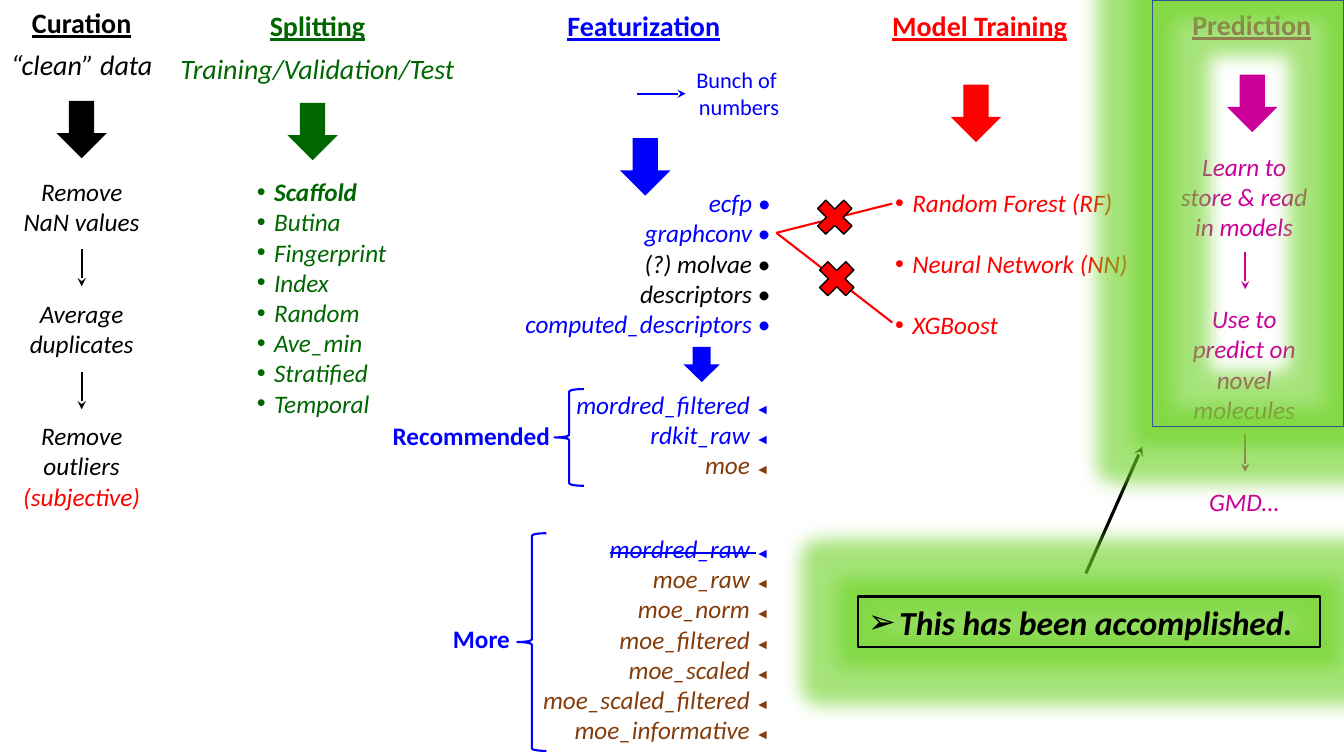
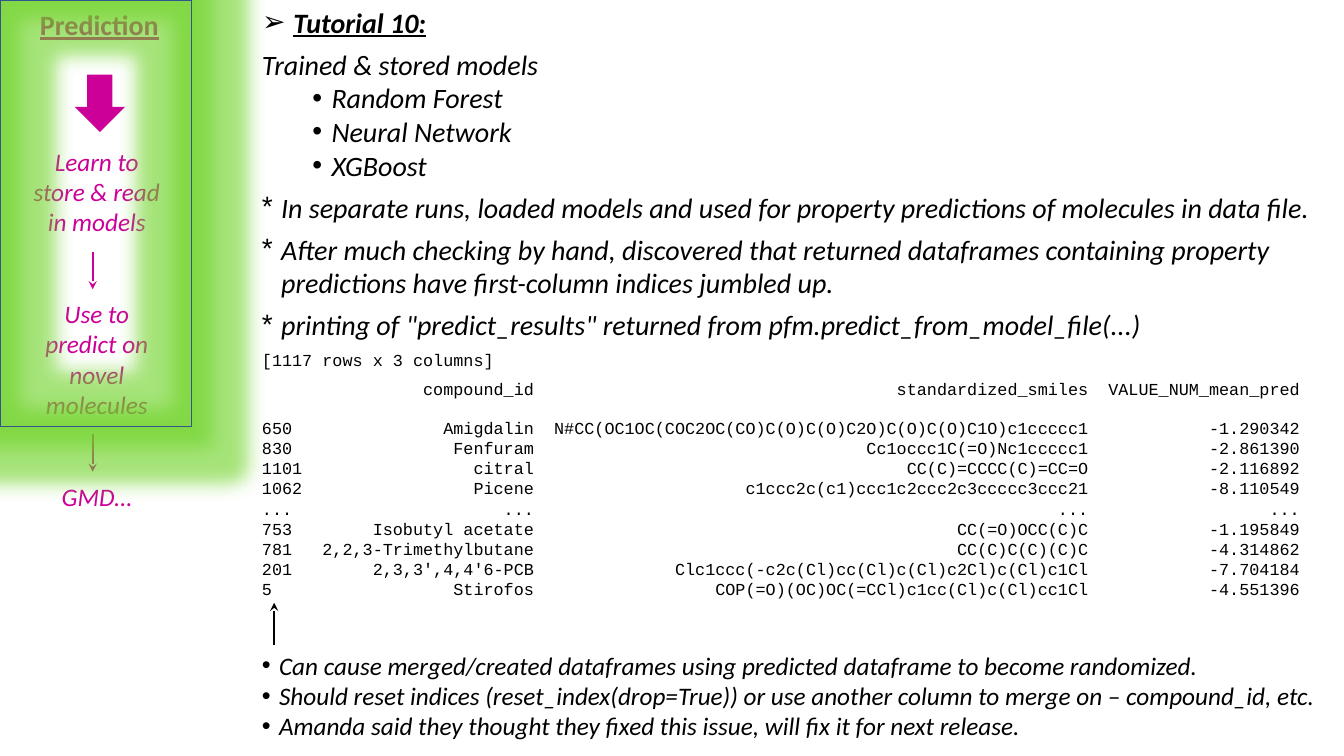
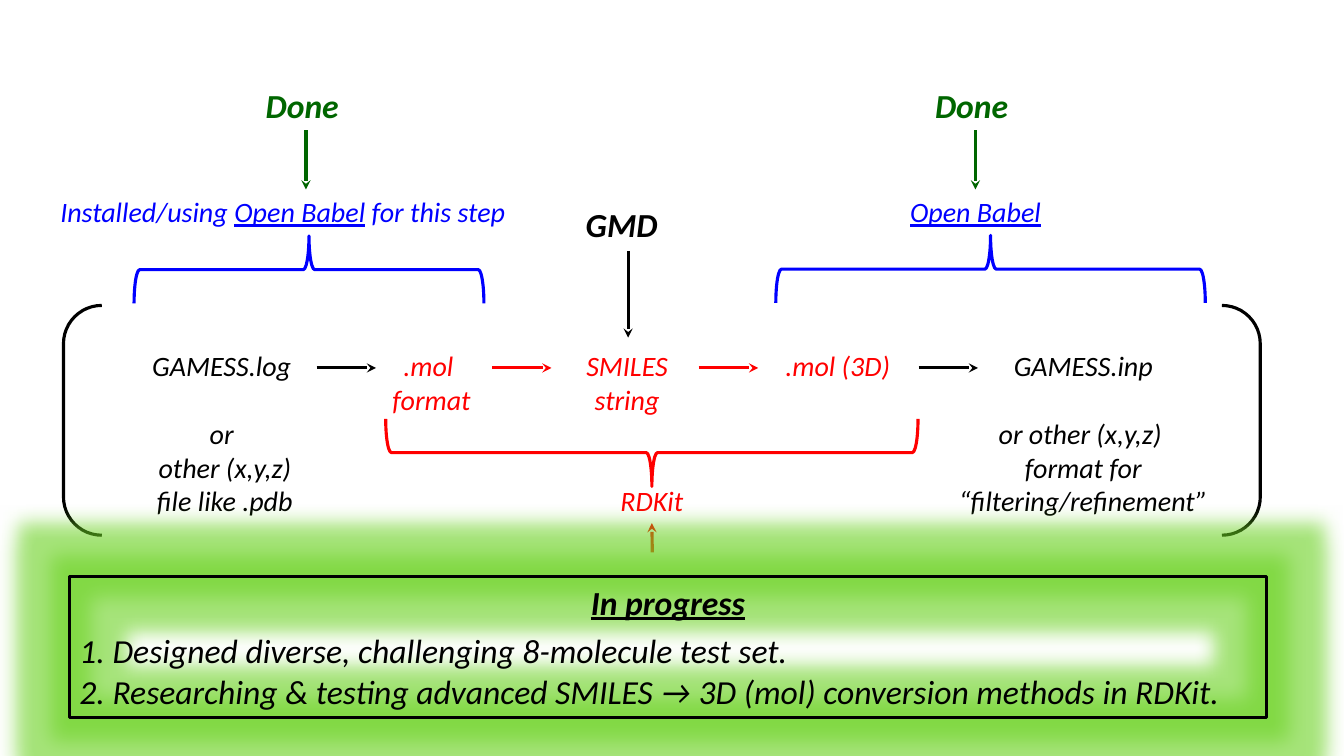
"""Build three slides on a molecular modelling workflow."""
from dataclasses import dataclass

from lxml import etree
from pptx import Presentation
from pptx.dml.color import RGBColor
from pptx.enum import shapes, text
from pptx.oxml.ns import qn
from pptx.util import Inches, Pt

BLACK = RGBColor(0, 0, 0)
GREEN = RGBColor(0, 0x66, 0)
BLUE = RGBColor(0, 0, 0xFF)
RED = RGBColor(0xFF, 0, 0)
MAGENTA = RGBColor(0xCC, 0, 0x99)
BROWN = RGBColor(0x84, 0x3C, 0x0B)
NAVY = RGBColor(0x32, 0x54, 0x91)
GLOW = RGBColor(0x6B, 0xD2, 0x22)

SHAPE = shapes.MSO_SHAPE
LEFT, CENTER, RIGHT = text.PP_ALIGN.LEFT, text.PP_ALIGN.CENTER, text.PP_ALIGN.RIGHT
BIG_ARROW = (0.5, 0.57)
LINE_GAP = 22
ARROW_GAP = 44

Box = tuple[float, float, float, float]
Point = tuple[float, float]


@dataclass
class Span:
    """A run of text with one look."""
    words: str
    color: RGBColor = BLACK
    size: float = 18
    bold: bool = False
    italic: bool = True
    underline: bool = False
    strike: bool = False
    font: str = "Calibri"


@dataclass
class Para:
    """A paragraph with its spacing and bullet."""
    spans: list[Span]
    align: int = LEFT
    before: float = 0
    bullet: str = ""
    hang: float = 0.17
    margin: float = 0


def line(words: str, align: int = LEFT, before: float = 0, bullet: str = "",
         hang: float = 0.17, margin: float = 0, **look) -> Para:
    """Make a paragraph of one run."""
    return Para([Span(words, **look)], align, before, bullet, hang, margin)


def write(frame, paras: list[Para]) -> None:
    """Fill a text frame with paragraphs."""
    for number, item in enumerate(paras):
        para = frame.add_paragraph() if number else frame.paragraphs[0]
        if item.bullet:
            props = para._p.get_or_add_pPr()
            props.set("marL", str(Inches(item.margin + item.hang)))
            props.set("indent", str(-Inches(item.hang)))
            etree.SubElement(props, qn("a:buFont")).set("typeface", "Arial")
            etree.SubElement(props, qn("a:buChar")).set("char", item.bullet)
        para.alignment = item.align
        para.space_before = Pt(item.before)
        for span in item.spans:
            run = para.add_run()
            run.text = span.words
            font = run.font
            font.name, font.size = span.font, Pt(span.size)
            font.bold, font.italic, font.underline = span.bold, span.italic, span.underline
            font.color.rgb = span.color
            if span.strike:
                font._element.set("strike", "sngStrike")


def text_box(page, at: Box, paras: list[Para], wrap: bool = True):
    """Add a text box."""
    box = page.shapes.add_textbox(*map(Inches, at))
    box.text_frame.word_wrap = wrap
    write(box.text_frame, paras)
    return box


def draw(page, kind: int, at: Box, fill: RGBColor | None = None,
         outline: RGBColor | None = None, width: float = 1, turn: float = 0):
    """Add a preset shape without shadow."""
    shape = page.shapes.add_shape(kind, *map(Inches, at))
    shape.shadow.inherit = False
    shape.rotation = turn
    if fill is None:
        shape.fill.background()
    else:
        shape.fill.solid()
        shape.fill.fore_color.rgb = fill
    if outline is None:
        shape.line.fill.background()
    else:
        shape.line.color.rgb = outline
        shape.line.width = Pt(width)
    return shape


def glowing_frame(page, at: Box, color: RGBColor, width: float, paras: list[Para]) -> None:
    """Add an unfilled rectangle with a green glow."""
    frame = draw(page, SHAPE.RECTANGLE, at, outline=color, width=width)
    effects = frame._element.spPr.find(qn("a:effectLst"))
    glow = etree.SubElement(effects, qn("a:glow"))
    glow.set("rad", str(Inches(0.38)))
    tint = etree.SubElement(glow, qn("a:srgbClr"))
    tint.set("val", str(GLOW))
    etree.SubElement(tint, qn("a:alpha")).set("val", "60000")
    frame.text_frame.word_wrap = True
    frame.text_frame.vertical_anchor = text.MSO_ANCHOR.TOP
    write(frame.text_frame, paras)


def connect(page, start: Point, end: Point, color: RGBColor, width: float = 1.5,
            head: bool = True):
    """Add a straight line, with an arrowhead by default."""
    link = page.shapes.add_connector(shapes.MSO_CONNECTOR.STRAIGHT,
                                     *map(Inches, (*start, *end)))
    link.line.color.rgb = color
    link.line.width = Pt(width)
    if head:
        etree.SubElement(link.line._get_or_add_ln(), qn("a:tailEnd")).set("type", "stealth")
    etree.SubElement(link._element.spPr, qn("a:effectLst"))
    return link


def heading(page, at: Box, title: str, color: RGBColor, subtitle: str = "") -> None:
    """Add an underlined column heading."""
    paras = [line(title, CENTER, color=color, size=20, bold=True, italic=False, underline=True)]
    if subtitle:
        paras.append(line(subtitle, CENTER, 6, color=color, size=20))
    text_box(page, at, paras, wrap=False)


def prediction_column(page, left: float, steps_at: Point) -> None:
    """Add the framed prediction column."""
    heading(page, (left + 0.29, 0.03, 1.39, 0.44), "Prediction", MAGENTA)
    steps = ["Learn to store & read in models", "Use to predict on novel molecules", "GMD…"]
    text_box(page, (*steps_at, 1.48, 4.04),
             [line(step, CENTER, ARROW_GAP if number else 0, color=MAGENTA)
              for number, step in enumerate(steps)])
    draw(page, SHAPE.DOWN_ARROW, (left + 0.74, 0.74, *BIG_ARROW), MAGENTA)
    for top in (2.5, 4.31):
        connect(page, (left + 0.92, top), (left + 0.92, top + 0.37), MAGENTA)


def prediction_frame(page, left: float) -> None:
    """Mark the prediction column."""
    glowing_frame(page, (left, 0, 1.9, 4.23), NAVY, 1, [])


def marked(name: str, color: RGBColor, strike: bool = False) -> Para:
    """Make a right-aligned descriptor name with a pointer."""
    return Para([Span(f"{name} ", color, strike=strike),
                 Span("◄", color, size=10, font="Arial")], RIGHT)


def workflow_slide(page) -> None:
    """Draw the five workflow columns."""
    heading(page, (0, 0.01, 1.62, 0.86), "Curation", BLACK, "“clean” data")
    heading(page, (1.68, 0.04, 2.94, 0.86), "Splitting", GREEN, "Training/Validation/Test")
    heading(page, (5.52, 0.04, 1.73, 0.44), "Featurization", BLUE)
    heading(page, (8.74, 0.04, 1.95, 0.44), "Model Training", RED)
    for left, top, color in ((0.56, 1, BLACK), (2.85, 1.02, GREEN),
                             (6.15, 1.37, BLUE), (9.43, 0.84, RED)):
        draw(page, SHAPE.DOWN_ARROW, (left, top, *BIG_ARROW), color)
    draw(page, SHAPE.DOWN_ARROW, (6.78, 3.44, 0.36, 0.35), BLUE)

    text_box(page, (0.07, 1.7, 1.48, 4.34), [
        line("Remove NaN values", CENTER),
        line("Average", CENTER, ARROW_GAP),
        line("duplicates", CENTER),
        line("Remove outliers", CENTER, ARROW_GAP),
        line("(subjective)", CENTER, color=RED)])
    for top in (2.47, 3.69):
        connect(page, (0.81, top), (0.81, top + 0.37), BLACK)

    splitters = ["Scaffold", "Butina", "Fingerprint", "Index", "Random", "Ave_min",
                 "Stratified", "Temporal"]
    text_box(page, (2.45, 1.7, 1.51, 2.52),
             [line(name, bullet="•", color=GREEN, bold=name == "Scaffold")
              for name in splitters])

    connect(page, (6.32, 0.93), (6.8, 0.93), BLUE)
    text_box(page, (6.8, 0.61, 1.06, 0.64),
             [line(words, CENTER, color=BLUE, size=16, italic=False)
              for words in ("Bunch of ", "numbers")], wrap=False)
    features = [("ecfp", BLUE), ("graphconv", BLUE), ("(?) molvae", BLACK),
                ("descriptors", BLACK), ("computed_descriptors", BLUE)]
    text_box(page, (5.08, 1.81, 2.66, 1.62),
             [line(f"{name} •", RIGHT, color=color) for name, color in features], wrap=False)
    text_box(page, (5.59, 3.81, 2.14, 1.18),
             [marked("mordred_filtered", BLUE), marked("rdkit_raw", BLUE),
              marked("moe", BROWN)], wrap=False)
    extras = ["raw", "norm", "filtered", "scaled", "scaled_filtered", "informative"]
    text_box(page, (5.26, 5.24, 2.47, 2.22),
             [marked("mordred_raw", BLUE, strike=True)]
             + [marked(f"moe_{name}", BROWN) for name in extras], wrap=False)
    for label, label_at, brace_at in (
            ("Recommended", (3.79, 4.12, 1.77, 0.4), (5.5, 3.86, 0.29, 0.96)),
            ("More", (4.39, 6.13, 0.77, 0.4), (5.13, 5.29, 0.29, 2.16))):
        text_box(page, label_at,
                 [line(label, CENTER, color=BLUE, bold=True, italic=False)], wrap=False)
        draw(page, SHAPE.LEFT_BRACE, brace_at, outline=BLUE, width=1.5)

    models = ["Random Forest (RF)", "Neural Network (NN)", "XGBoost"]
    text_box(page, (8.78, 1.81, 2.55, 1.62),
             [line(name, before=LINE_GAP if number else 0, bullet="•", color=RED)
              for number, name in enumerate(models)])
    prediction_column(page, 11.43, (11.6, 1.45))
    for end in ((8.85, 2.02), (8.85, 3.2)):
        connect(page, (7.7, 2.31), end, RED, head=False)
    for left, top in ((8.03, 1.91), (8.05, 2.52)):
        draw(page, SHAPE.MATH_MULTIPLY, (left, top, 0.5, 0.49), RED, BLACK)

    connect(page, (10.77, 5.69), (11.33, 4.43), BLACK, 2.25)
    prediction_frame(page, 11.43)
    glowing_frame(page, (8.51, 5.92, 4.58, 0.5), BLACK, 1.75,
                  [line("This has been accomplished.", bullet="➢", hang=0.31,
                        size=24, bold=True)])


def tutorial_slide(page) -> None:
    """Draw the tutorial notes beside the prediction column."""
    prediction_column(page, 0, (0.22, 1.4))
    prediction_frame(page, 0)

    title = page.shapes.title
    title.left, title.top, title.width, title.height = map(Inches, (2.5, 0, 10.83, 0.44))
    title.text_frame.vertical_anchor = text.MSO_ANCHOR.TOP
    title.text_frame.auto_size = text.MSO_AUTO_SIZE.NONE
    write(title.text_frame, [line("Tutorial 10:", bullet="➢", hang=0.31, size=20,
                                  bold=True, underline=True)])

    notes = ["In separate runs, loaded models and used for property predictions of "
             "molecules in data file.",
             "After much checking by hand, discovered that returned dataframes containing "
             "property predictions have first-column indices jumbled up.",
             "printing of \"predict_results\" returned from pfm.predict_from_model_file(...)"]
    rows = [("", "compound_id", "standardized_smiles", "VALUE_NUM_mean_pred"),
            ("650", "Amigdalin", "N#CC(OC1OC(COC2OC(CO)C(O)C(O)C2O)C(O)C(O)C1O)c1ccccc1",
             "-1.290342"),
            ("830", "Fenfuram", "Cc1occc1C(=O)Nc1ccccc1", "-2.861390"),
            ("1101", "citral", "CC(C)=CCCC(C)=CC=O", "-2.116892"),
            ("1062", "Picene", "c1ccc2c(c1)ccc1c2ccc2c3ccccc3ccc21", "-8.110549"),
            ("...", "...", "...", "..."),
            ("753", "Isobutyl acetate", "CC(=O)OCC(C)C", "-1.195849"),
            ("781", "2,2,3-Trimethylbutane", "CC(C)C(C)(C)C", "-4.314862"),
            ("201", "2,3,3',4,4'6-PCB", "Clc1ccc(-c2c(Cl)cc(Cl)c(Cl)c2Cl)c(Cl)c1Cl",
             "-7.704184"),
            ("5", "Stirofos", "COP(=O)(OC)OC(=CCl)c1cc(Cl)c(Cl)cc1Cl", "-4.551396")]
    row_gaps = {0: 6, 1: 13.6}
    code = {"size": 12, "italic": False, "font": "Courier New"}
    text_box(page, (2.5, 0.42, 10.83, 5.98), [
        line("Trained & stored models", size=20),
        *[line(name, bullet="•", hang=0.19, margin=0.5, size=20)
          for name in ("Random Forest", "Neural Network", "XGBoost")],
        *[line(note, before=6, bullet="*", hang=0.19, size=20) for note in notes],
        line("[1117 rows x 3 columns]", before=6, **code),
        *[line(f"{index:<4}{compound:>23}{smiles:>55}{value:>21}",
               before=row_gaps.get(number, 0), **code)
          for number, (index, compound, smiles, value) in enumerate(rows)]])

    connect(page, (2.72, 6.4), (2.72, 5.98), BLACK)
    remarks = ["Can cause merged/created dataframes using predicted dataframe to become "
               "randomized.",
               "Should reset indices (reset_index(drop=True)) or use another column to merge "
               "on – compound_id, etc.",
               "Amanda said they thought they fixed this issue, will fix it for next release."]
    text_box(page, (2.5, 6.4, 10.83, 1.01), [line(remark, bullet="•") for remark in remarks])


def conversion_slide(page) -> None:
    """Draw the file conversion chain."""
    blank_line = 24.4
    stages = [
        ((1.32, 1.82, 1.78), BLACK, ["GAMESS.log ", "or ", "other (x,y,z) file like .pdb"]),
        ((3.37, 1.82, 0.77), RED, [".mol ", "format"]),
        ((5.31, 1.82, 0.77), RED, ["SMILES", "string"]),
        ((7.4, 1.82, 0.44), RED, [".mol (3D)"]),
        ((9.4, 2.69, 1.78), BLACK,
         ["GAMESS.inp", "or other (x,y,z) ", "format for “filtering/refinement”"])]
    for (left, width, height), color, words in stages:
        text_box(page, (left, 3.41, width, height),
                 [line(part, CENTER, blank_line if number == 1 and color == BLACK else 0,
                       color=color, size=20) for number, part in enumerate(words)])
    draw(page, SHAPE.DOUBLE_BRACKET, (0.63, 3.03, 11.87, 2.28), outline=BLACK, width=2.25)
    for left, color in ((3.14, BLACK), (4.88, RED), (6.93, RED), (9.11, BLACK)):
        connect(page, (left, 3.65), (left + 0.59, 3.65), color, 2.25)
    for at, turn, color in (((2.73, 0.94, 0.67, 3.47), 270, BLUE),
                            ((6.13, 1.85, 0.67, 5.28), 90, RED),
                            ((9.49, 0.54, 0.67, 4.26), 270, BLUE)):
        draw(page, SHAPE.RIGHT_BRACE, at, outline=color, width=2.25, turn=turn)

    tool = Span("Open Babel", BLUE, 20, underline=True)
    text_box(page, (0.44, 1.88, 4.73, 0.44),
             [Para([Span("Installed/using ", BLUE, 20), tool,
                    Span(" for this step", BLUE, 20)], CENTER)])
    right_tool = text_box(page, (8.02, 1.88, 3.31, 0.44), [Para([tool], CENTER)])
    toolkit = text_box(page, (3.16, 4.75, 6.61, 0.44),
                       [line("RDKit", CENTER, color=RED, size=20)])
    text_box(page, (5.71, 1.97, 1.66, 0.5), [line("GMD", size=24, bold=True)])
    connect(page, (6.23, 2.49), (6.23, 3.35), BLACK, 2.25)
    progress = connect(page, (6.47, 5.48), (6.47, 5.19), RED, 2.25)
    progress.end_connect(toolkit, 2)

    for left, target in ((0.67, None), (7.31, right_tool)):
        done = text_box(page, (left, 0.79, 4.73, 0.5),
                        [line("Done ", CENTER, color=GREEN, size=24, bold=True)])
        middle = left + 4.73 / 2
        arrow = connect(page, (middle, 1.29), (middle, 1.88), GREEN, 2.25)
        arrow.begin_connect(done, 2)
        if target is not None:
            arrow.end_connect(target, 0)

    glowing_frame(page, (0.69, 5.72, 11.87, 1.4), BLACK, 1.75, [
        line("In progress", CENTER, size=24, bold=True, underline=True),
        line("1. Designed diverse, challenging 8-molecule test set.", before=6, size=24),
        line("2. Researching & testing advanced SMILES → 3D (mol) conversion methods "
             "in RDKit.", size=24)])


def main() -> None:
    """Build and save the deck."""
    deck = Presentation()
    deck.slide_width, deck.slide_height = Inches(13.33), Inches(7.5)
    title_only, blank = deck.slide_layouts[5], deck.slide_layouts[6]
    for build, layout in ((workflow_slide, blank), (tutorial_slide, title_only),
                          (conversion_slide, blank)):
        build(deck.slides.add_slide(layout))
    deck.save("out.pptx")


if __name__ == "__main__":
    main()
